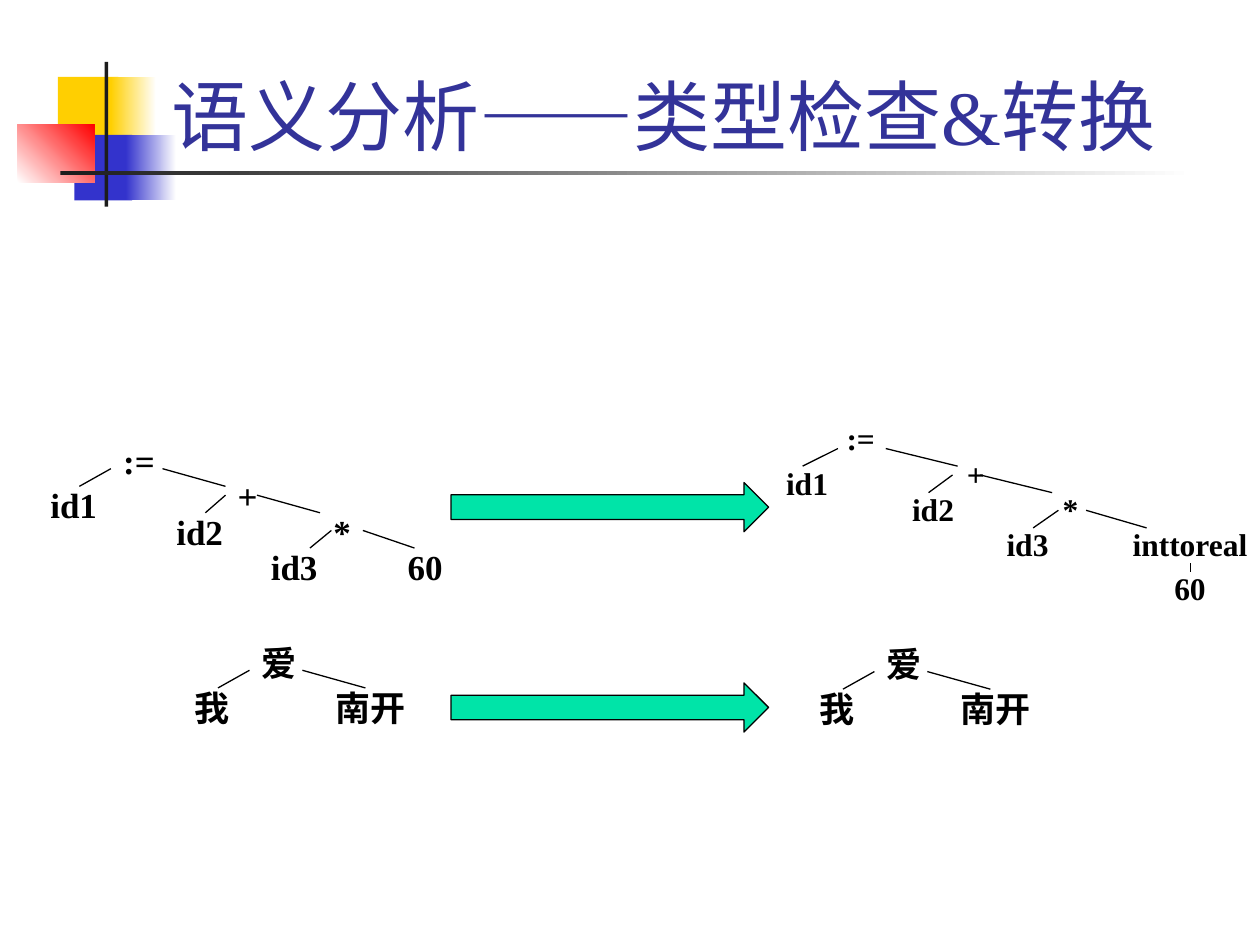
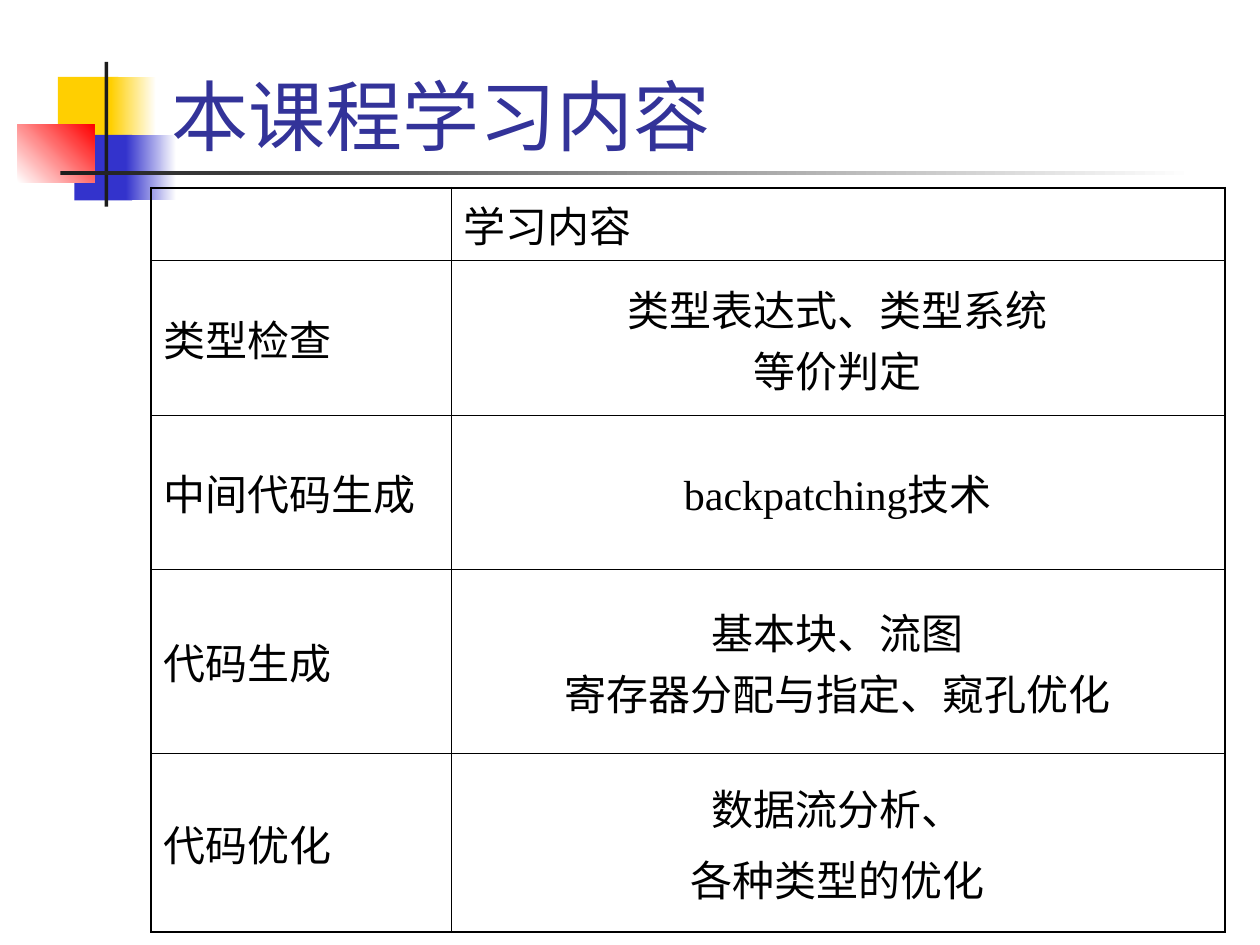
import pptx
import pptx.util
import pptx.dml.color
import pptx.enum.dml
import pptx.enum.shapes
import pptx.enum.text
import pptx.oxml.ns
import lxml.etree as etree

Inches, Pt = pptx.util.Inches, pptx.util.Pt
SHAPE = pptx.enum.shapes.MSO_SHAPE
ALIGN = pptx.enum.text.PP_ALIGN
ANCHOR = pptx.enum.text.MSO_ANCHOR
qn = pptx.oxml.ns.qn

FONT = "Times New Roman"
C = {"title": "333399", "text": "000000", "line": "000000", "arrow": "00E4A8",
     "yellow": "FFCF01", "blue": "3333CC", "red": "FF0000", "dark": "1C1C1C",
     "white": "FFFFFF"}

# Corner motif: left, top, width, height, colours (two make a gradient), angle
MOTIF = [
    (0.46, 0.61, 0.48, 0.52, ["yellow"], 0),
    (0.88, 0.61, 0.36, 0.52, ["yellow", "white"], 0),
    (0.59, 1.07, 0.46, 0.52, ["blue"], 0),
    (1.00, 1.07, 0.40, 0.52, ["blue", "white"], 0),
    (0.14, 0.99, 0.61, 0.46, ["white", "red"], 45),
    (0.83, 0.49, 0.03, 1.15, ["dark"], 0),
    (0.48, 1.36, 9.00, 0.03, ["dark", "white"], 0),
]


def rgb(name):
    return pptx.dml.color.RGBColor.from_string(C[name])


def style(p, size, color="text", bold=False, align=ALIGN.LEFT):
    p.alignment = align
    p.font.name, p.font.size, p.font.bold = FONT, Pt(size), bold
    p.font.color.rgb = rgb(color)


def add_text(s, box, text, size, **look):
    tb = s.shapes.add_textbox(*map(Inches, box))
    tf = tb.text_frame
    tf.word_wrap = True
    p = tf.paragraphs[0]
    p.text = text
    style(p, size, **look)
    return tf


def add_line(s, x1, y1, x2, y2):
    ln = s.shapes.add_connector(pptx.enum.shapes.MSO_CONNECTOR.STRAIGHT,
                                *map(Inches, (x1, y1, x2, y2)))
    ln.line.color.rgb, ln.line.width = rgb("line"), Pt(0.75)
    etree.SubElement(ln._element.spPr, qn("a:effectLst"))


def add_motif(s):
    for *box, colors, angle in MOTIF:
        sp = s.shapes.add_shape(SHAPE.RECTANGLE, *map(Inches, box))
        sp.shadow.inherit = False
        sp.line.fill.background()
        if len(colors) == 1:
            sp.fill.solid()
            sp.fill.fore_color.rgb = rgb(colors[0])
        else:
            sp.fill.gradient()
            sp.fill.gradient_angle = angle
            for stop, color in zip(sp.fill.gradient_stops, colors):
                stop.color.rgb = rgb(color)


def add_titled_slide(prs, title):
    s = prs.slides.add_slide(prs.slide_layouts[6])
    add_motif(s)
    tf = add_text(s, (1.26, 0.08, 8.52, 1.25), title, 44, color="title")
    tf.vertical_anchor = ANCHOR.BOTTOM
    return s


def add_arrow(s, x, y):
    sp = s.shapes.add_shape(SHAPE.RIGHT_ARROW, *map(Inches, (x, y, 2.52, 0.39)))
    sp.shadow.inherit = False
    sp.fill.solid()
    sp.fill.fore_color.rgb = rgb("arrow")
    sp.line.color.rgb, sp.line.width = rgb("line"), Pt(0.75)


def add_node(s, x, y, w, text, size, align=ALIGN.CENTER):
    tf = add_text(s, (x, y, w, size * 0.022), text, size, bold=True, align=align)
    tf.auto_size = pptx.enum.text.MSO_AUTO_SIZE.SHAPE_TO_FIT_TEXT


def expression_tree(s, x, y, size, op_w, id_w, last, last_w, inset, reach):
    """Tree for id1 := id2 + id3 * last; x, y is the root's corner."""
    # Operators step down to the right, each with an identifier below left
    for i, op in enumerate([":=", "+", "*"]):
        add_node(s, x + 0.75 * i, y + 0.28 * i, op_w, op, size,
                 ALIGN.CENTER if i else ALIGN.LEFT)
    for i, (dx, dy) in enumerate([(-0.92, 0.35), (0.08, 0.56), (0.83, 0.84)], 1):
        add_node(s, x + dx, y + dy, id_w, f"id{i}", size)
    add_node(s, x + 2.16, y + 0.84, last_w, last, size)
    # Branches: left start, left end, right start, top
    branches = [(0, -0.25, 0.41, 0.28), (0.91, 0.75, 1.16, 0.49),
                (1.75, 1.58, 2.0, 0.77)]
    for i, (l1, l2, r1, top) in enumerate(branches):
        add_line(s, x + l1 + inset, y + top, x + l2, y + top + 0.14)
        add_line(s, x + r1, y + top, x + 0.75 * i + reach, y + top + 0.14)


def sentence_tree(s, x, y):
    add_node(s, x, y, 0.67, "爱", 20, ALIGN.LEFT)
    add_node(s, x - 0.92, y + 0.36, 1.25, "我", 20)
    add_node(s, x + 0.5, y + 0.36, 0.92, "南开", 20)
    add_line(s, x, y + 0.28, x - 0.25, y + 0.42)
    add_line(s, x + 0.42, y + 0.28, x + 0.92, y + 0.42)


def type_check_slide(prs):
    s = add_titled_slide(prs, "语义分析——类型检查&转换")
    # Expression before and after conversion
    add_arrow(s, 3.58, 3.83)
    expression_tree(s, 0.88, 3.44, 20, 0.67, 1.25, "60", 0.67, 0, 0.91)
    expression_tree(s, 6.62, 3.28, 18, 0.75, 1.41, "inttoreal", 1.33, 0.03, 0.98)
    add_node(s, 9.03, 4.47, 0.83, "60", 18)
    add_line(s, 9.45, 4.47, 9.45, 4.54)
    # Sentence analogy
    add_arrow(s, 3.58, 5.42)
    sentence_tree(s, 1.98, 5.04)
    sentence_tree(s, 6.94, 5.05)


def set_borders(cell, widths):
    tcPr = cell._tc.get_or_add_tcPr()
    for i, (side, width) in enumerate(widths.items()):
        ln = etree.Element(qn(f"a:ln{side}"), w=str(Pt(width)))
        fill = etree.SubElement(ln, qn("a:solidFill"))
        etree.SubElement(fill, qn("a:srgbClr"), val=C["line"])
        tcPr.insert(i, ln)


def add_topic_table(s, x, y, cols, heights, rows):
    frame = s.shapes.add_table(len(rows), len(cols), Inches(x), Inches(y),
                               Inches(sum(cols)), Inches(sum(heights)))
    table = frame.table
    table.first_row = table.horz_banding = False
    for col, w in zip(table.columns, cols):
        col.width = Inches(w)
    for row, h in zip(table.rows, heights):
        row.height = Inches(h)
    for r, texts in enumerate(rows):
        for c, text in enumerate(texts):
            cell = table.cell(r, c)
            cell.fill.background()
            cell.vertical_anchor = ANCHOR.MIDDLE
            cell.text = text
            for i, p in enumerate(cell.text_frame.paragraphs):
                style(p, 24, align=ALIGN.CENTER if r and c else ALIGN.LEFT)
                if i:
                    p.space_before = Pt(6)
            # Thicker rule round the outside
            outer = {"L": c == 0, "R": c == len(cols) - 1,
                     "T": r == 0, "B": r == len(rows) - 1}
            set_borders(cell, {k: 1.08 if v else 0.45 for k, v in outer.items()})


def course_content_slide(prs):
    s = add_titled_slide(prs, "本课程学习内容")
    rows = [("", "学习内容"),
            ("类型检查", "类型表达式、类型系统\v等价判定"),
            ("中间代码生成", "backpatching技术"),
            ("代码生成", "基本块、流图\v寄存器分配与指定、窥孔优化"),
            ("代码优化", "数据流分析、\n各种类型的优化")]
    add_topic_table(s, 1.2, 1.49, [2.38, 6.14], [0.58, 1.23, 1.22, 1.46, 1.42], rows)


def main():
    prs = pptx.Presentation()
    prs.slide_width, prs.slide_height = Inches(10), Inches(7.5)
    type_check_slide(prs)
    course_content_slide(prs)
    prs.save("out.pptx")


if __name__ == "__main__":
    main()
